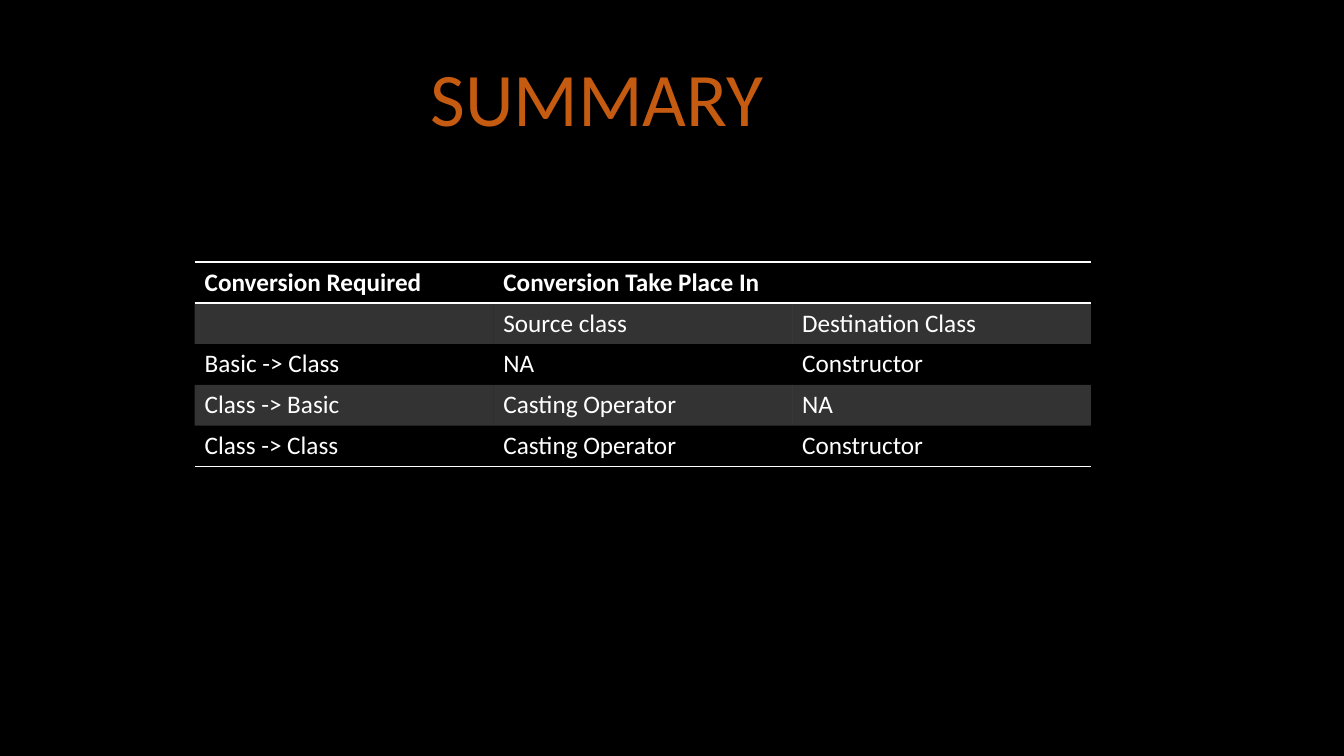
from lxml.etree import SubElement
from pptx import Presentation
from pptx.dml.color import RGBColor
from pptx.enum.text import MSO_ANCHOR, MSO_AUTO_SIZE, PP_ALIGN
from pptx.oxml import parse_xml
from pptx.oxml.ns import nsdecls, qn
from pptx.util import Inches, Pt

HUES = {"back": "000000", "title": "C55A11", "text": "FFFFFF", "band": "FFFFFF"}
PLAIN = "{2D5ABB26-0587-4C30-8999-92F81FD0307C}"
HEAD = {"name": "Calibri", "size": Pt(54), "bold": False}
BODY = {"name": "Calibri", "size": Pt(18), "bold": False}
FRAME = {"word_wrap": False, "auto_size": MSO_AUTO_SIZE.SHAPE_TO_FIT_TEXT,
         "vertical_anchor": MSO_ANCHOR.TOP}
ROWS = [
    ["Conversion Required", "Conversion Take Place In", ""],
    ["", "Source class", "Destination Class"],
    ["Basic -> Class", "NA", "Constructor"],
    ["Class -> Basic", "Casting Operator", "NA"],
    ["Class -> Class", "Casting Operator", "Constructor"],
]
RULES = {0: ("lnT", "lnB"), len(ROWS) - 1: ("lnB",)}


def apply(item, look):
    """Set each attribute of an item from a dict."""
    for key, value in look.items():
        setattr(item, key, value)


def style(font, look, hue):
    """Format a font and give it a colour."""
    apply(font, look)
    font.color.rgb = RGBColor.from_string(HUES[hue])


def rule(cell, sides):
    """Draw one-point lines on the given sides of a cell."""
    for spot, side in enumerate(sides):
        line = parse_xml(
            f'<a:{side} {nsdecls("a")} w="12700"><a:solidFill>'
            f'<a:srgbClr val="{HUES["text"]}"/></a:solidFill></a:{side}>')
        cell._tc.get_or_add_tcPr().insert(spot, line)


def shade(cell, band):
    """Fill a banded cell with a faint tint and leave others clear."""
    if not band:
        cell.fill.background()
        return
    cell.fill.solid()
    cell.fill.fore_color.rgb = RGBColor.from_string(HUES["band"])
    tint = next(cell._tc.tcPr.iter(qn("a:srgbClr")))
    SubElement(tint, qn("a:alpha")).set("val", "20000")


def heading(slide, box, text):
    """Place the slide title in its box."""
    title = slide.shapes.title
    apply(title, dict(zip(("left", "top", "width", "height"), box)))
    frame = title.text_frame
    frame.text = text
    apply(frame, FRAME)
    para = frame.paragraphs[0]
    para.alignment = PP_ALIGN.LEFT
    style(para.runs[0].font, HEAD, "title")


def grid(slide, box, rows):
    """Place the conversion table in its box with equal rows and columns."""
    shape = slide.shapes.add_table(len(rows), len(rows[0]), *box)
    table = shape.table
    table._tbl.tblPr.find(qn("a:tableStyleId")).text = PLAIN
    for r, row in enumerate(rows):
        for c, text in enumerate(row):
            cell = table.cell(r, c)
            cell.text = text
            para = cell.text_frame.paragraphs[0]
            for run in para.runs:
                style(run.font, BODY | {"bold": r == 0}, "text")
            shade(cell, r % 2 == 1)
            rule(cell, RULES.get(r, ()))


def main():
    """Build the summary slide and save it."""
    deck = Presentation()
    apply(deck, {"slide_width": Inches(13.33), "slide_height": Inches(7.5)})
    slide = deck.slides.add_slide(deck.slide_layouts[5])
    fill = slide.background.fill
    fill.solid()
    fill.fore_color.rgb = RGBColor.from_string(HUES["back"])
    heading(slide, [Inches(n) for n in (4.17, 0.46, 3.54, 1.01)], "SUMMARY")
    grid(slide, [Inches(n) for n in (1.93, 2.6, 8.89, 2.03)], ROWS)
    deck.save("out.pptx")


if __name__ == "__main__":
    main()
